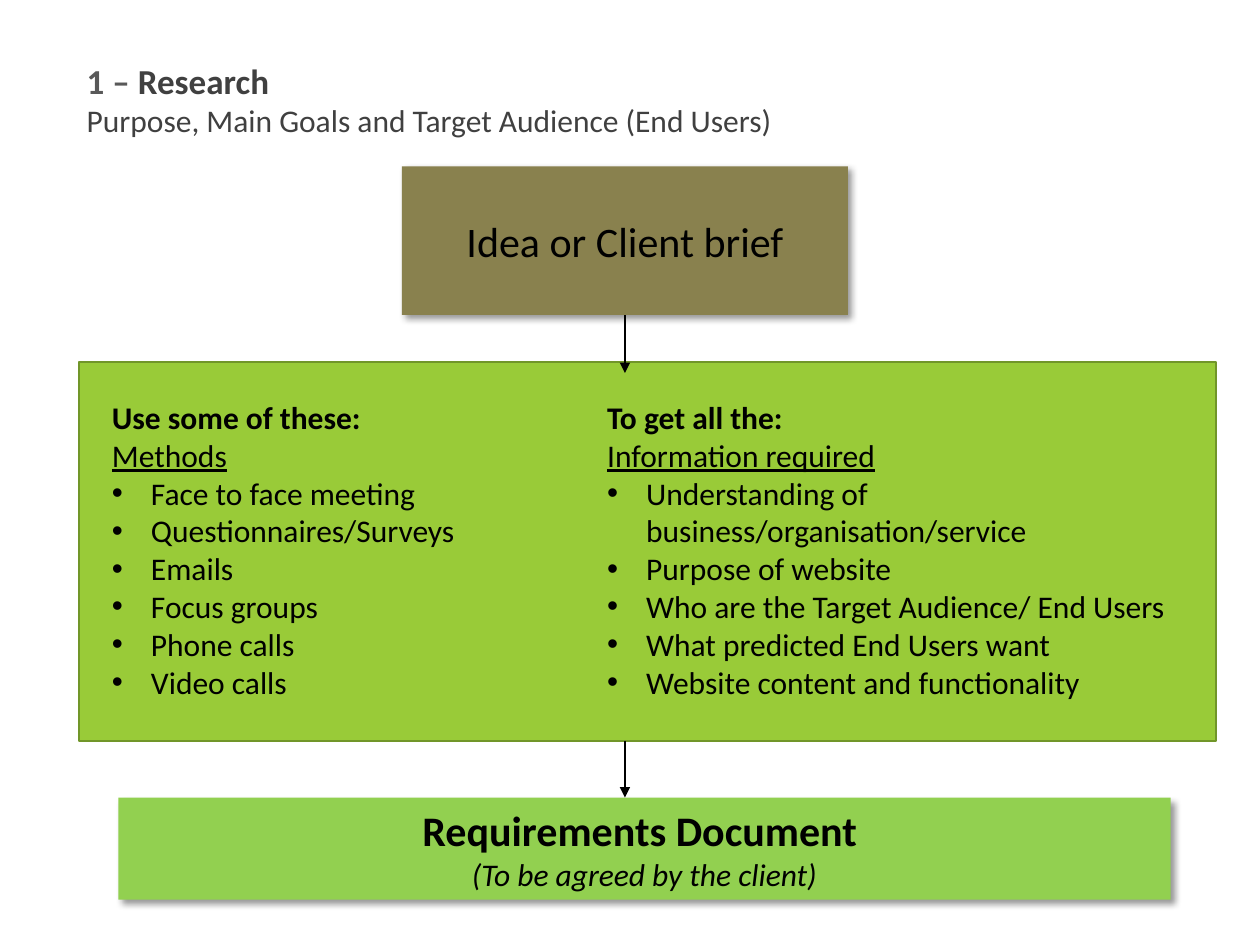
"""Build the research stage slide of a website planning process."""
from dataclasses import dataclass
from typing import NamedTuple

from lxml import etree
from pptx import Presentation
from pptx.dml.color import RGBColor
from pptx.enum.shapes import MSO_CONNECTOR, MSO_SHAPE
from pptx.enum.text import MSO_ANCHOR, PP_ALIGN
from pptx.oxml.ns import qn
from pptx.util import Inches, Pt

RECTANGLE = MSO_SHAPE.RECTANGLE
STRAIGHT = MSO_CONNECTOR.STRAIGHT
TOP, MIDDLE = MSO_ANCHOR.TOP, MSO_ANCHOR.MIDDLE
LEFT, CENTER = PP_ALIGN.LEFT, PP_ALIGN.CENTER
BOTTOM_SIDE = 2
COLUMNS, ROWS = 100, 75
SLIDE_WIDTH, SLIDE_HEIGHT = Inches(10), Inches(7.5)


@dataclass(frozen=True)
class Theme:
    font: str = "Calibri"
    ink: str = "000000"
    heading: str = "404040"
    heading_number: str = "595959"
    brief: str = "89814E"
    panel: str = "99CB38"
    panel_edge: str = "719629"
    outcome: str = "92D050"
    body_size: int = 18
    heading_size: int = 20
    box_size: int = 24
    panel_line: float = 1.25
    arrow_line: float = 1
    bullet_indent: float = 0.31


THEME = Theme()


class Area(NamedTuple):
    column: float
    row: float
    columns: float
    rows: float


class Words(NamedTuple):
    text: str
    size: int = THEME.body_size
    color: str = THEME.ink
    bold: bool = False
    italic: bool = False
    underline: bool = False


class Line(NamedTuple):
    runs: list[Words]
    bullet: bool = False


class Checklist(NamedTuple):
    area: Area
    lead: str
    title: str
    items: list[str]


class Box(NamedTuple):
    area: Area
    fill: str
    lines: list[Line]


CHECKLISTS = [
    Checklist(Area(7.9, 31.1, 37, 25.2), "Use some of these:", "Methods", [
        "Face to face meeting",
        "Questionnaires/Surveys",
        "Emails",
        "Focus groups",
        "Phone calls",
        "Video calls",
    ]),
    Checklist(Area(47.2, 31.1, 48.5, 25.2), "To get all the:", "Information required", [
        "Understanding of business/organisation/service",
        "Purpose of website",
        "Who are the Target Audience/ End Users",
        "What predicted End Users want",
        "Website content and functionality",
    ]),
]
HEADING = [
    Line([Words("1 – ", THEME.heading_size, THEME.heading_number, bold=True),
          Words("Research", THEME.heading_size, THEME.heading, bold=True)]),
    Line([Words("Purpose, Main Goals and Target Audience (End Users)", color=THEME.heading)]),
]
HEADING_AREA = Area(5.9, 4.2, 90.6, 7.4)
PANEL_AREA = Area(6.3, 28.7, 90.2, 30.1)
BRIEF = Box(Area(31.9, 13.2, 35.4, 11.8), THEME.brief,
            [Line([Words("Idea or Client brief", THEME.box_size)])])
OUTCOME = Box(Area(9.4, 63.3, 83.5, 8.1), THEME.outcome, [
    Line([Words("Requirements Document ", THEME.box_size, bold=True)]),
    Line([Words("(To be agreed by the client)", italic=True)]),
])
ARROW_COLUMN = BRIEF.area.column + BRIEF.area.columns / 2
ARROW_TIP_IN_PANEL = 29.6


def across(columns: float) -> int:
    """Turn grid columns into a length."""
    return round(SLIDE_WIDTH * columns / COLUMNS)


def down(rows: float) -> int:
    """Turn grid rows into a length."""
    return round(SLIDE_HEIGHT * rows / ROWS)


def place(area: Area) -> tuple[int, int, int, int]:
    """Turn a grid area into left, top, width and height."""
    return across(area.column), down(area.row), across(area.columns), down(area.rows)


def add_bullet(paragraph) -> None:
    """Give a paragraph a hanging bullet."""
    properties = paragraph._p.get_or_add_pPr()
    indent = Inches(THEME.bullet_indent)
    properties.set("marL", str(indent))
    properties.set("indent", str(-indent))
    etree.SubElement(properties, qn("a:buFont"), typeface="Arial")
    etree.SubElement(properties, qn("a:buChar"), char="•")


def write(frame, lines: list[Line], alignment, anchor) -> None:
    """Write lines run by run into a text frame."""
    frame.word_wrap = True
    frame.vertical_anchor = anchor
    for index, line in enumerate(lines):
        paragraph = frame.add_paragraph() if index else frame.paragraphs[0]
        paragraph.alignment = alignment
        if line.bullet:
            add_bullet(paragraph)
        for words in line.runs:
            run = paragraph.add_run()
            run.text = words.text
            font = run.font
            font.name, font.size = THEME.font, Pt(words.size)
            font.bold, font.italic, font.underline = words.bold, words.italic, words.underline
            font.color.rgb = RGBColor.from_string(words.color)


def add_text(slide, area: Area, lines: list[Line]) -> None:
    """Add a left-aligned text box."""
    write(slide.shapes.add_textbox(*place(area)).text_frame, lines, LEFT, TOP)


def add_rectangle(slide, area: Area, fill: str):
    """Add a filled rectangle without line or shadow."""
    rectangle = slide.shapes.add_shape(RECTANGLE, *place(area))
    rectangle.shadow.inherit = False
    rectangle.fill.solid()
    rectangle.fill.fore_color.rgb = RGBColor.from_string(fill)
    rectangle.line.fill.background()
    return rectangle


def add_panel(slide) -> None:
    """Add the outlined panel behind the checklists."""
    line = add_rectangle(slide, PANEL_AREA, THEME.panel).line
    line.color.rgb = RGBColor.from_string(THEME.panel_edge)
    line.width = Pt(THEME.panel_line)


def add_box(slide, box: Box):
    """Add a box with centred text and a soft shadow."""
    rectangle = add_rectangle(slide, box.area, box.fill)
    effects = rectangle._element.spPr.find(qn("a:effectLst"))
    shadow = etree.SubElement(effects, qn("a:outerShdw"), blurRad=str(Pt(4)), dist=str(Pt(3)),
                              dir="2700000", algn="tl", rotWithShape="0")
    color = etree.SubElement(shadow, qn("a:srgbClr"), val=THEME.ink)
    etree.SubElement(color, qn("a:alpha"), val="40000")
    write(rectangle.text_frame, box.lines, CENTER, MIDDLE)
    return rectangle


def add_arrow(slide, start_row: float, end_row: float):
    """Add a downward arrow on the arrow column."""
    x = across(ARROW_COLUMN)
    arrow = slide.shapes.add_connector(STRAIGHT, x, down(start_row), x, down(end_row))
    arrow.line.color.rgb = RGBColor.from_string(THEME.ink)
    arrow.line.width = Pt(THEME.arrow_line)
    etree.SubElement(arrow.line._get_or_add_ln(), qn("a:tailEnd"), type="triangle")
    etree.SubElement(arrow._element.spPr, qn("a:effectLst"))
    return arrow


def main() -> None:
    """Build and save the slide."""
    deck = Presentation()
    deck.slide_width, deck.slide_height = SLIDE_WIDTH, SLIDE_HEIGHT
    slide = deck.slides.add_slide(deck.slide_layouts[6])
    add_panel(slide)
    add_text(slide, HEADING_AREA, HEADING)
    for checklist in CHECKLISTS:
        add_text(slide, checklist.area, [
            Line([Words(checklist.lead, bold=True)]),
            Line([Words(checklist.title, underline=True)]),
            *(Line([Words(item)], bullet=True) for item in checklist.items),
        ])
    add_box(slide, OUTCOME)
    brief = add_box(slide, BRIEF)
    brief_arrow = add_arrow(slide, BRIEF.area.row + BRIEF.area.rows, ARROW_TIP_IN_PANEL)
    brief_arrow.begin_connect(brief, BOTTOM_SIDE)
    add_arrow(slide, PANEL_AREA.row + PANEL_AREA.rows, OUTCOME.area.row)
    deck.save("out.pptx")


if __name__ == "__main__":
    main()
